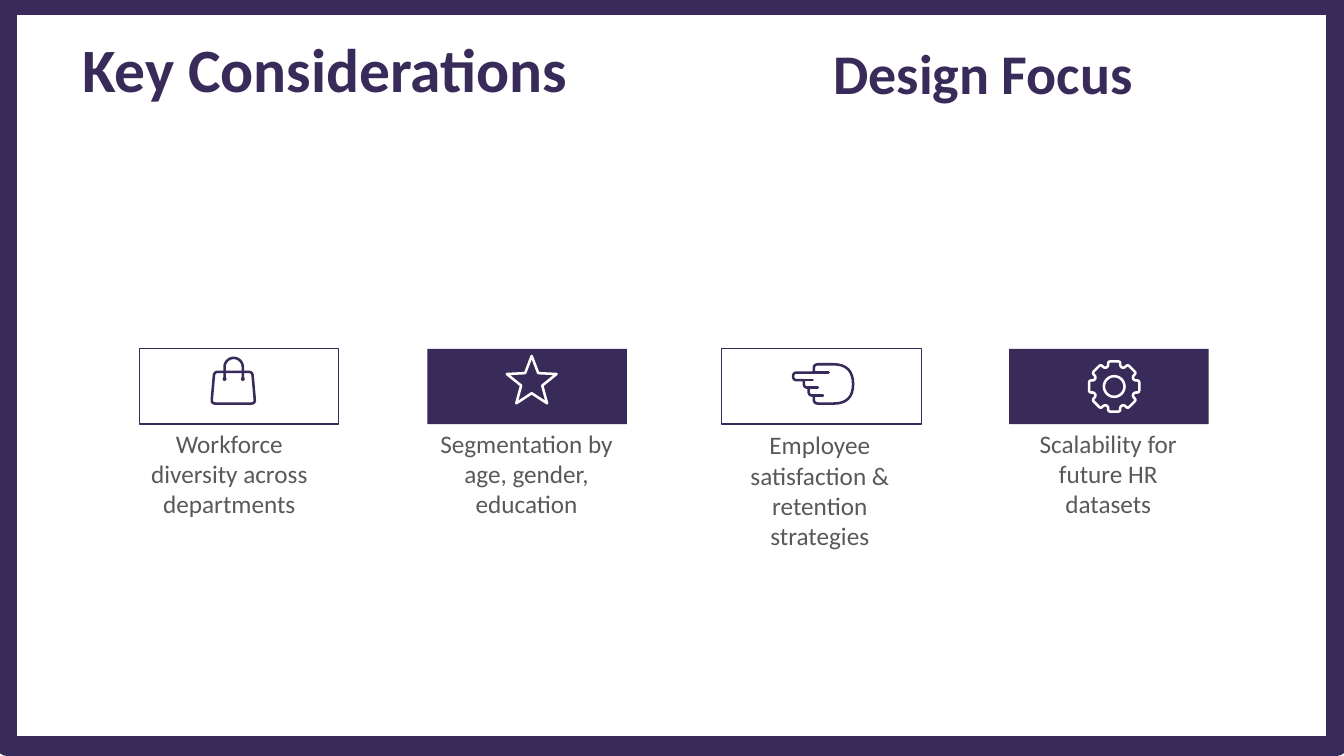
from math import cos, radians, sin

from lxml.etree import SubElement
from pptx import Presentation
from pptx.dml.color import RGBColor
from pptx.enum.shapes import MSO_CONNECTOR, MSO_SHAPE
from pptx.enum.text import MSO_ANCHOR, MSO_AUTO_SIZE, PP_ALIGN
from pptx.oxml.ns import qn
from pptx.util import Cm, Pt

PURPLE = RGBColor(0x38, 0x2B, 0x59)
GREY = RGBColor(0x59, 0x59, 0x59)
WHITE = RGBColor(0xFF, 0xFF, 0xFF)


def polar(center, radius, angle):
    """Point at an angle in degrees, clockwise from the top."""
    turn = radians(angle)
    return center[0] + radius * sin(turn), center[1] - radius * cos(turn)


def rounded(corners, steps=8):
    """Closed outline whose (x, y, radius) corners are eased by curves."""
    outline = []
    for i, (x, y, radius) in enumerate(corners):
        ends = []
        for nx, ny, _ in (corners[i - 1], corners[(i + 1) % len(corners)]):
            length = ((nx - x) ** 2 + (ny - y) ** 2) ** 0.5
            ends.append((x + (nx - x) * radius / length,
                         y + (ny - y) * radius / length))
        (ax, ay), (bx, by) = ends
        for step in range(steps + 1):
            t = step / steps
            a, b, c = (1 - t) ** 2, 2 * t * (1 - t), t ** 2
            outline.append((a * ax + b * x + c * bx, a * ay + b * y + c * by))
    return outline


class SlideArtist:
    font_name = "Calibri"
    icon_stroke = 1.8

    def __init__(self, slide):
        self.slide = slide
        self.shapes = slide.shapes

    def stroke(self, shape, color, width):
        shape.line.color.rgb = color
        shape.line.width = Pt(width)

    def soften(self, shape):
        ln = shape._element.spPr.find(qn("a:ln"))
        ln.set("cap", "rnd")
        SubElement(ln, qn("a:round"))

    def preset(self, kind, box, fill=None, line=None, width=1):
        shape = self.shapes.add_shape(kind, *map(Cm, box))
        shape.shadow.inherit = False
        if fill is None:
            shape.fill.background()
        else:
            shape.fill.solid()
            shape.fill.fore_color.rgb = fill
        if line is None:
            shape.line.fill.background()
        else:
            self.stroke(shape, line, width)

    def disc(self, center, radius, fill=None, line=None):
        box = center[0] - radius, center[1] - radius, 2 * radius, 2 * radius
        self.preset(MSO_SHAPE.OVAL, box, fill, line, self.icon_stroke)

    def outline(self, points, color, close=True):
        start, *rest = [(Cm(x), Cm(y)) for x, y in points]
        builder = self.shapes.build_freeform(*start)
        builder.add_line_segments(rest, close=close)
        shape = builder.convert_to_shape()
        shape.shadow.inherit = False
        shape.fill.background()
        self.stroke(shape, color, self.icon_stroke)
        self.soften(shape)

    def level_line(self, left, right, y, color):
        line = self.shapes.add_connector(
            MSO_CONNECTOR.STRAIGHT, Cm(left), Cm(y), Cm(right), Cm(y))
        self.stroke(line, color, self.icon_stroke)
        self.soften(line)
        SubElement(line._element.spPr, qn("a:effectLst"))

    def text(self, words, box, size, color, bold=False, anchor=MSO_ANCHOR.TOP):
        frame = self.shapes.add_textbox(*map(Cm, box)).text_frame
        frame_format = {"word_wrap": True, "vertical_anchor": anchor,
                        "auto_size": MSO_AUTO_SIZE.SHAPE_TO_FIT_TEXT}
        for name, value in frame_format.items():
            setattr(frame, name, value)
        paragraph = frame.paragraphs[0]
        paragraph.alignment = PP_ALIGN.CENTER
        run = paragraph.add_run()
        run.text = words
        font_format = {"name": self.font_name, "size": Pt(size), "bold": bold}
        for name, value in font_format.items():
            setattr(run.font, name, value)
        run.font.color.rgb = color


def draw_bag(artist, color):
    artist.outline(rounded([(5.4, 9.37, 0.1), (6.36, 9.37, 0.1),
                            (6.43, 10.17, 0.1), (5.33, 10.17, 0.1)]), color)
    center, radius, handle_end = (5.89, 9.25), 0.23, 9.55
    arch = [polar(center, radius, angle) for angle in range(-90, 91, 10)]
    feet = [(center[0] + side * radius, handle_end) for side in (-1, 1)]
    artist.outline([feet[0], *arch, feet[1]], color, close=False)
    for foot in feet:
        artist.disc(foot, 0.05, fill=color)


def draw_star(artist, color):
    artist.outline([polar((13.4, 9.63), 0.28 if i % 2 else 0.66, 36 * i)
                    for i in range(10)], color)


def draw_hand(artist, color):
    artist.outline(rounded([
        (19.99, 9.39, 0.09), (20.51, 9.39, 0.03), (20.51, 9.18, 0.11),
        (21.5, 9.18, 0.5), (21.5, 10.17, 0.49), (20.51, 10.17, 0.11),
        (20.51, 9.97, 0.03), (20.38, 9.97, 0.1), (20.38, 9.77, 0.03),
        (20.26, 9.77, 0.1), (20.26, 9.58, 0.03), (19.99, 9.58, 0.09)]), color)
    for left, right, y in ((20.48, 20.88, 9.39), (20.22, 20.48, 9.58),
                           (20.34, 20.61, 9.77), (20.48, 20.74, 9.97)):
        artist.level_line(left, right, y, color)


def draw_gear(artist, color):
    center = (28.08, 9.74)
    tooth = ((-17, 0.52), (-13.5, 0.65), (13.5, 0.65), (17, 0.52))
    artist.outline(rounded([(*polar(center, radius, 45 * i + angle), 0.06)
                            for i in range(8) for angle, radius in tooth]), color)
    artist.disc(center, 0.26, line=color)


# Card left, caption left, caption top, caption height, filled, icon, caption
CONSIDERATIONS = (
    (3.51, 3.15, 10.64, 2.57, False, draw_bag,
     "Workforce diversity across departments"),
    (10.77, 10.64, 10.64, 2.57, True, draw_star,
     "Segmentation by age, gender, education"),
    (18.19, 18.03, 10.69, 3.33, False, draw_hand,
     "Employee satisfaction & retention strategies"),
    (25.43, 25.3, 10.64, 2.57, True, draw_gear,
     "Scalability for future HR datasets"),
)


def main():
    deck = Presentation()
    deck.slide_width, deck.slide_height = Cm(33.87), Cm(19.05)
    artist = SlideArtist(deck.slides.add_slide(deck.slide_layouts[6]))

    # Border around the slide
    artist.preset(MSO_SHAPE.RECTANGLE, (0.18, 0.13, 33.5, 18.67),
                  line=PURPLE, width=14.75)

    # Cards with icons and captions
    for left, text_left, top, height, filled, draw_icon, caption in CONSIDERATIONS:
        look = {"fill": PURPLE} if filled else {"line": PURPLE}
        artist.preset(MSO_SHAPE.RECTANGLE, (left, 8.79, 5.03, 1.9), **look)
        draw_icon(artist, WHITE if filled else PURPLE)
        artist.text(caption, (text_left, top, 5.26, height), 18, GREY,
                    anchor=MSO_ANCHOR.MIDDLE)

    # Headings
    artist.text("Key Considerations", (1.73, 0.66, 12.93, 2.13), 44, PURPLE, True)
    artist.text("Design Focus", (18.31, 0.84, 12.93, 1.96), 40, PURPLE, True)

    deck.save("out.pptx")


if __name__ == "__main__":
    main()
